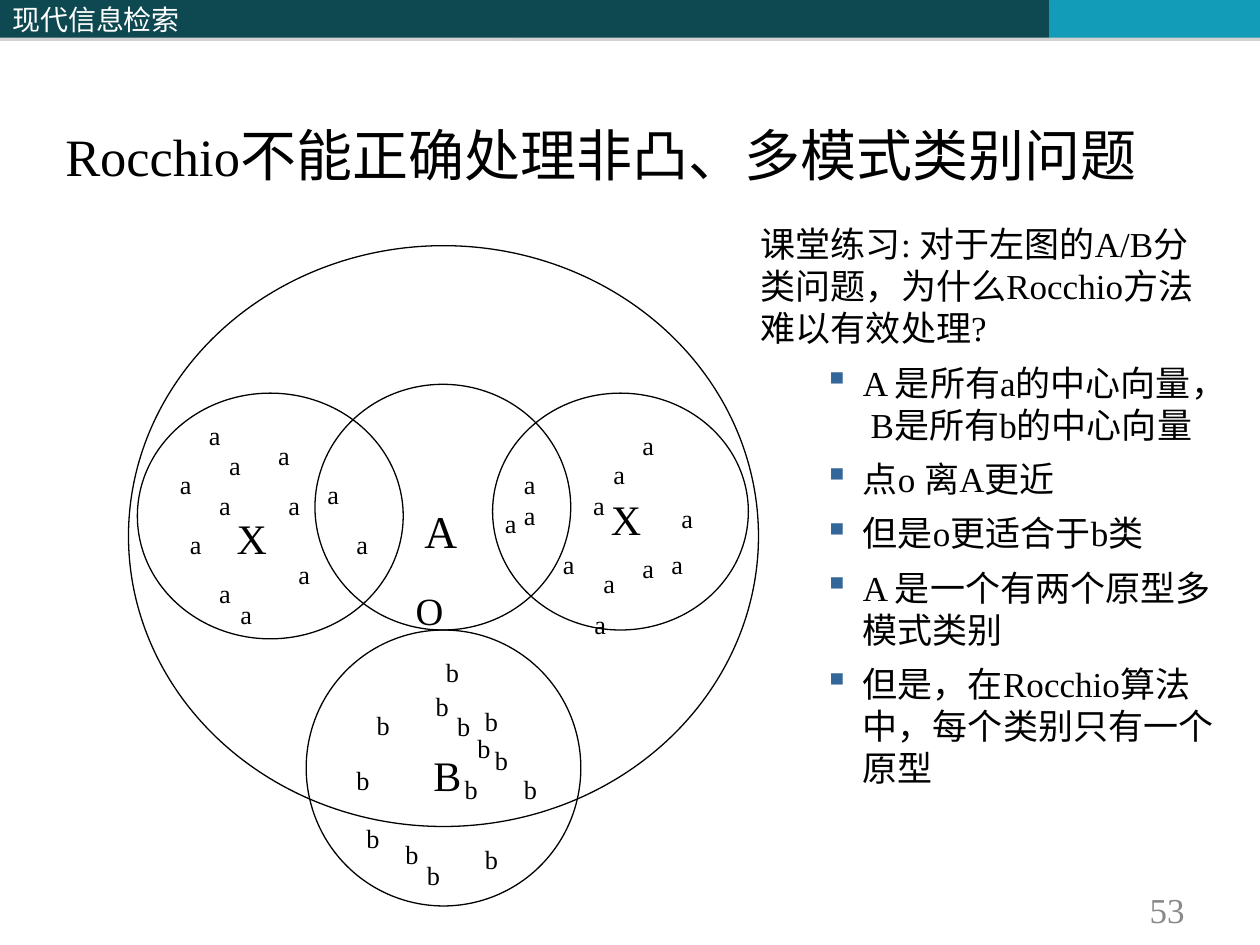
from lxml.etree import SubElement
from pptx import Presentation
from pptx.dml.color import RGBColor
from pptx.enum.shapes import MSO_SHAPE
from pptx.enum.text import MSO_ANCHOR, PP_ALIGN
from pptx.oxml.ns import qn
from pptx.util import Inches, Pt

COLORS = {"dark": "0E4851", "accent": "139CB7", "text": "000000", "white": "FFFFFF",
          "number": "898989", "bullet": "336699", "shadow": "808080"}
LATIN, CHINESE = "Times New Roman", "Noto Sans CJK SC"
COLUMNS, ROWS = 100, 75
UNIT = Inches(10) / COLUMNS  # columns and rows are equally long


def color(name):
    return RGBColor.from_string(COLORS[name])


def grid(*lengths):
    return [round(length * UNIT) for length in lengths]


def style(paragraph, size, color_name="text", latin=LATIN):
    font = paragraph.font
    font.size, font.name = Pt(size), latin
    font.color.rgb = color(color_name)
    properties = paragraph._p.get_or_add_pPr().find(qn("a:defRPr"))
    SubElement(properties, qn("a:ea"), typeface=CHINESE)


def add_text(slide, box, text, size, color_name="text", anchor=MSO_ANCHOR.TOP):
    frame = slide.shapes.add_textbox(*grid(*box)).text_frame
    frame.word_wrap = True
    frame.vertical_anchor = anchor
    paragraph = frame.paragraphs[0]
    paragraph.text = text
    style(paragraph, size, color_name)
    return frame


def add_shadow(shape):
    effects = SubElement(shape._element.spPr, qn("a:effectLst"))
    shadow = SubElement(effects, qn("a:outerShdw"), blurRad="0", dist=str(Pt(1.8)),
                        dir="5400000", rotWithShape="0")
    shade = SubElement(shadow, qn("a:srgbClr"), val=COLORS["shadow"])
    SubElement(shade, qn("a:alpha"), val="35000")


def add_header(slide, box, text):
    left, top, width, height = box
    segments = [(0.408, "dark", text), (0.425, "dark", ""), (0.167, "accent", "")]
    for share, fill, label in segments:
        bar = slide.shapes.add_shape(
            MSO_SHAPE.RECTANGLE, *grid(left, top, share * width, height))
        bar.fill.solid()
        bar.fill.fore_color.rgb = color(fill)
        bar.line.fill.background()
        add_shadow(bar)
        if label:
            frame = bar.text_frame
            frame.vertical_anchor = MSO_ANCHOR.MIDDLE
            paragraph = frame.paragraphs[0]
            paragraph.text = label
            paragraph.alignment = PP_ALIGN.LEFT
            style(paragraph, 16, "white", CHINESE)
        left += share * width


def add_title(slide, box, latin_text, chinese_text):
    frame = add_text(slide, box, latin_text, 30, anchor=MSO_ANCHOR.BOTTOM)
    paragraph = frame.paragraphs[0]
    paragraph._p.get_or_add_pPr().set("marL", str(Inches(0.42)))
    run = paragraph.add_run()
    run.text = chinese_text
    run.font.size = Pt(32)


def add_exercise(slide, box, question, points):
    frame = add_text(slide, box, question, 20)
    for point in points:
        paragraph = frame.add_paragraph()
        paragraph.text = point
        paragraph.level = 1
        paragraph.space_before = Pt(7)
        properties = paragraph._p.get_or_add_pPr()
        properties.set("marL", str(Inches(0.81)))
        properties.set("indent", str(Inches(-0.31)))
        bullet_color = SubElement(properties, qn("a:buClr"))
        SubElement(bullet_color, qn("a:srgbClr"), val=COLORS["bullet"])
        SubElement(properties, qn("a:buChar"), char="▪")
        style(paragraph, 20)


def add_diagram(slide, box, circles, labels, documents):
    left, top = box[:2]
    # Class regions
    for x, y, width, height in circles:
        circle = slide.shapes.add_shape(
            MSO_SHAPE.OVAL, *grid(left + x, top + y, width, height))
        circle.shadow.inherit = False
        circle.fill.background()
        circle.line.color.rgb = color("text")
        circle.line.width = Pt(0.75)
    # Centroids and the point to classify
    for text, x, y, size in labels:
        add_text(slide, (left + x, top + y, 5.8, 5), text, size)
    # Documents of each class
    for text, places in documents.items():
        for x, y in places:
            add_text(slide, (left + x, top + y, 4, 3.5), text, 15)


def add_page_number(slide, box, number):
    frame = add_text(slide, box, number, 20, "number", MSO_ANCHOR.MIDDLE)
    frame.paragraphs[0].alignment = PP_ALIGN.RIGHT


# Places are columns and rows from the corner of the diagram
CIRCLES = [(0.7, 11.7, 21.1, 19.5), (14.1, 30.5, 21.8, 21.9), (14.8, 11, 20.3, 19.5),
           (28.9, 11.7, 20.3, 18.8), (0, 0, 50, 46.1)]
LABELS = [("X", 37.3, 19.2, 24), ("X", 7.6, 20.7, 24), ("B", 23.2, 39.5, 24),
          ("A", 22.5, 19.9, 26), ("O", 21.8, 26.6, 22)]
DOCUMENTS = {
    "a": [(5.4, 13.3), (10.9, 14.9), (7, 15.7), (3.1, 17.2), (14.8, 18), (11.7, 18.8),
          (6.2, 18.8), (3.9, 21.9), (17.1, 21.9), (12.5, 24.3), (6.2, 25.8), (7.9, 27.5),
          (39.8, 14.1), (37.5, 16.4), (30.4, 17.2), (35.9, 18.8), (30.4, 19.6),
          (42.9, 19.9), (28.9, 20.3), (33.5, 23.5), (42.1, 23.5), (39.8, 23.8),
          (36.7, 25), (36, 28.3)],
    "b": [(24.2, 32.1), (23.4, 34.8), (27.3, 36), (18.7, 36.3), (25.1, 36.4),
          (26.7, 38.1), (28.1, 39.1), (17.1, 40.7), (25.7, 41.4), (30.4, 41.4),
          (17.9, 45.3), (21, 46.5), (27.3, 46.9), (22.7, 48.2)],
}
POINTS = ["A 是所有a的中心向量， B是所有b的中心向量", "点o 离A更近", "但是o更适合于b类",
          "A 是一个有两个原型多模式类别", "但是，在Rocchio算法中，每个类别只有一个原型"]


def main():
    presentation = Presentation()
    presentation.slide_width, presentation.slide_height = grid(COLUMNS, ROWS)
    slide = presentation.slides.add_slide(presentation.slide_layouts[6])
    add_header(slide, (0, 0, COLUMNS, 3), "现代信息检索")
    add_page_number(slide, (71.7, 70.8, 23.3, 2.7), "53")
    add_title(slide, (0, 0.1, COLUMNS, 15.3), "Rocchio", "不能正确处理非凸、多模式类别问题")
    add_exercise(slide, (59.4, 17.2, 38.3, 52.3),
                 "课堂练习: 对于左图的A/B分类问题，为什么Rocchio方法难以有效处理?", POINTS)
    add_diagram(slide, (10.2, 19.5, 50, 52.4), CIRCLES, LABELS, DOCUMENTS)
    presentation.save("out.pptx")


if __name__ == "__main__":
    main()
